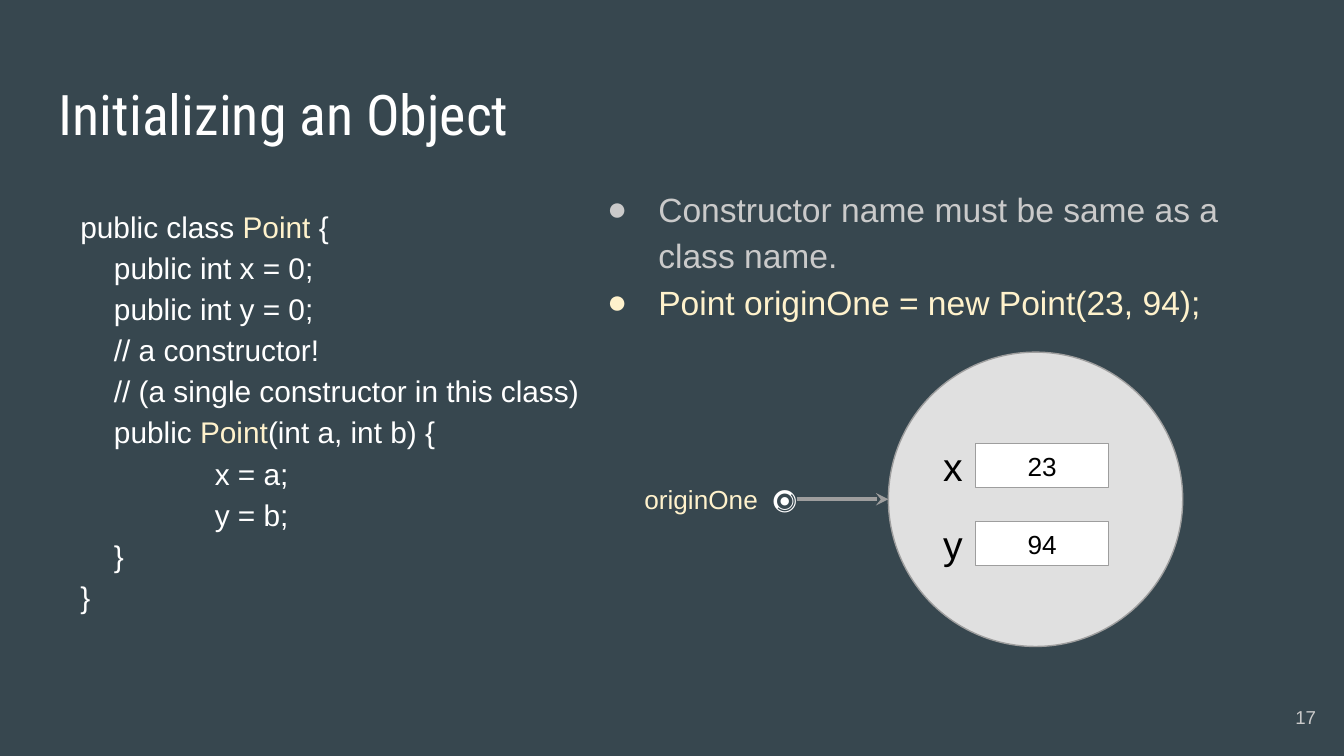
from lxml import etree
from pptx import Presentation
from pptx import util as u
from pptx.dml.color import RGBColor
from pptx.enum import shapes, text
from pptx.oxml.ns import qn

WHITE, CREAM, PALE, GREY, BLACK = "FFFFFF", "FFF2CC", "CACACA", "9E9E9E", "000000"
LEFT, CENTER, RIGHT = text.PP_ALIGN.LEFT, text.PP_ALIGN.CENTER, text.PP_ALIGN.RIGHT

# Content: each code paragraph is (indent in inches, runs of (text, colour))
TITLE = "Initializing an Object"
CODE = [
    (0, [("public class ", WHITE), ("Point ", CREAM), ("{", WHITE)]),
    (0.25, [("public int x = 0;", WHITE)]),
    (0.25, [("public int y = 0;", WHITE)]),
    (0.25, [("// a constructor!\n// (a single constructor in this class)", WHITE)]),
    (0.25, [("public ", WHITE), ("Point", CREAM), ("(int a, int b) {", WHITE)]),
    (1, [("x = a;", WHITE)]),
    (1, [("y = b;", WHITE)]),
    (0.25, [("}", WHITE)]),
    (0, [("}", WHITE)]),
]
BULLETS = [
    ("Constructor name must be same as a class name.", PALE),
    ("Point originOne = new Point(23, 94);", CREAM),
]
REFERENCE = [("originOne ", CREAM), (" 🔘", WHITE)]
FIELDS = [("x", "23"), ("y", "94")]
PAGE = "17"

# Object diagram
CIRCLE_X, CIRCLE_Y, CIRCLE_D = 6.61, 2.62, 2.19
ARROW_X = 5.93
FIELD_X, FIELD_Y, FIELD_W, FIELD_H, FIELD_STEP = 7.26, 3.3, 0.99, 0.33, 0.58
NAME_W, NAME_H = 0.34, 0.43

# A 16:9 slide
prs = Presentation()
prs.slide_width = u.Inches(10)
prs.slide_height = prs.slide_width * 9 // 16
s = prs.slides.add_slide(prs.slide_layouts[6])


def rgb(value):
    return RGBColor.from_string(value)


def inches(*lengths):
    return [u.Inches(n) for n in lengths]


def write(sp, lines, size, font="Arial", align=LEFT, spacing=None, middle=False, right=0.1):
    """Fill a shape with paragraphs of (indent, runs)."""
    tf = sp.text_frame
    tf.word_wrap = True
    tf.vertical_anchor = text.MSO_ANCHOR.MIDDLE if middle else text.MSO_ANCHOR.TOP
    tf.margin_left, tf.margin_top, tf.margin_right, tf.margin_bottom = inches(0.1, 0.1, right, 0.1)
    for i, (indent, runs) in enumerate(lines):
        p = tf.paragraphs[0] if i == 0 else tf.add_paragraph()
        p.alignment = align
        if spacing:
            p.line_spacing = spacing
        if indent:
            p._p.get_or_add_pPr().set("marL", str(u.Inches(indent)))
        for words, colour in runs:
            for n, part in enumerate(words.split("\n")):
                if n:
                    p.add_line_break()
                r = p.add_run()
                r.text = part
                r.font.name, r.font.size = font, u.Pt(size)
                r.font.color.rgb = rgb(colour)
    return tf


def label(box, lines, size, **style):
    return write(s.shapes.add_textbox(*inches(*box)), lines, size, **style)


def shape(kind, box, fill):
    sp = s.shapes.add_shape(kind, *inches(*box))
    sp.shadow.inherit = False
    sp.fill.solid()
    sp.fill.fore_color.rgb = rgb(fill)
    sp.line.color.rgb = rgb(GREY)
    sp.line.width = u.Pt(0.75)
    return sp


def add_bullet(p, colour):
    pPr = p._p.get_or_add_pPr()
    pPr.set("indent", str(u.Inches(-0.38)))
    clr = etree.SubElement(pPr, qn("a:buClr"))
    etree.SubElement(clr, qn("a:srgbClr")).set("val", colour)
    etree.SubElement(pPr, qn("a:buFont")).set("typeface", "Arial")
    etree.SubElement(pPr, qn("a:buChar")).set("char", "●")


# Background, title and page number
s.background.fill.solid()
s.background.fill.fore_color.rgb = rgb("37474F")
label((0.34, 0.49, 9.32, 0.63), [(0, [(TITLE, WHITE)])], 30, font="Roboto Condensed")
label((9.29, 5.12, 0.6, 0.43), [(0, [(PAGE, PALE)])], 10, align=RIGHT, middle=True)

# Bullets and code
tf = label((4.3, 1.26, 5.36, 1.21), [(0.5, [b]) for b in BULLETS], 18, spacing=1.15)
for p, (_, colour) in zip(tf.paragraphs, BULLETS):
    add_bullet(p, colour)
label((0.5, 1.41, 4.03, 3.13), CODE, 16, spacing=1.15)

# Reference pointing at the object
label((ARROW_X - 1.5, 3.5, 1.5, 0.43), [(0, REFERENCE)], 14, align=RIGHT, right=0)
shape(shapes.MSO_SHAPE.OVAL, (CIRCLE_X, CIRCLE_Y, CIRCLE_D, CIRCLE_D), "E0E0E0")
arrow_y = CIRCLE_Y + CIRCLE_D / 2
arrow = s.shapes.add_connector(
    shapes.MSO_CONNECTOR.STRAIGHT, *inches(ARROW_X, arrow_y, CIRCLE_X, arrow_y))
arrow.line.color.rgb = rgb(GREY)
arrow.line.width = u.Pt(2.25)
etree.SubElement(arrow.line._get_or_add_ln(), qn("a:tailEnd")).set("type", "stealth")
etree.SubElement(arrow._element.spPr, qn("a:effectLst"))

# Fields inside the object
for i, (name, value) in enumerate(FIELDS):
    y = FIELD_Y + i * FIELD_STEP
    sp = shape(shapes.MSO_SHAPE.RECTANGLE, (FIELD_X, y, FIELD_W, FIELD_H), WHITE)
    write(sp, [(0, [(value, BLACK)])], 14, align=CENTER, middle=True)
    label((FIELD_X - NAME_W, y - 0.11, NAME_W, NAME_H), [(0, [(name, BLACK)])], 21)

prs.save("out.pptx")
